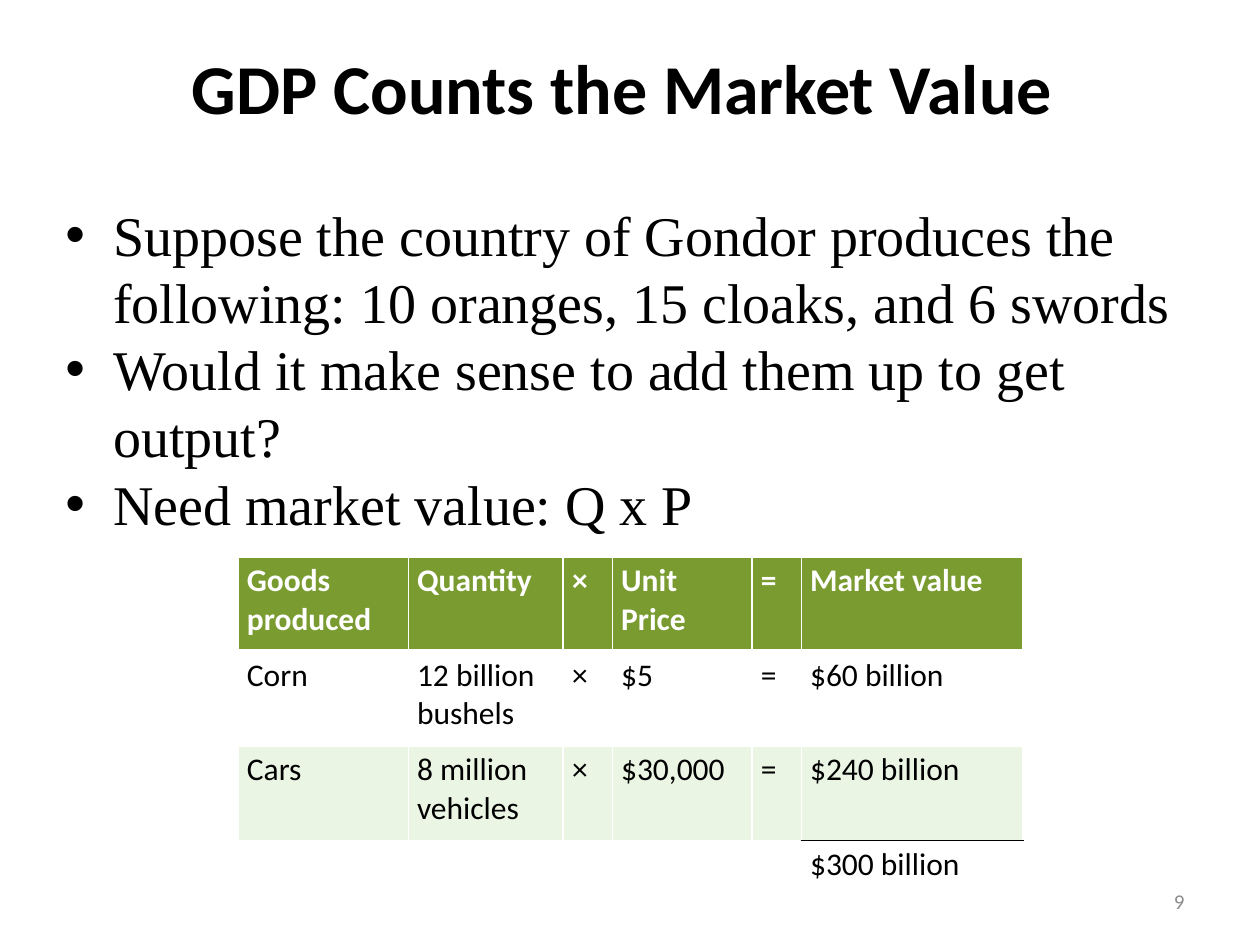
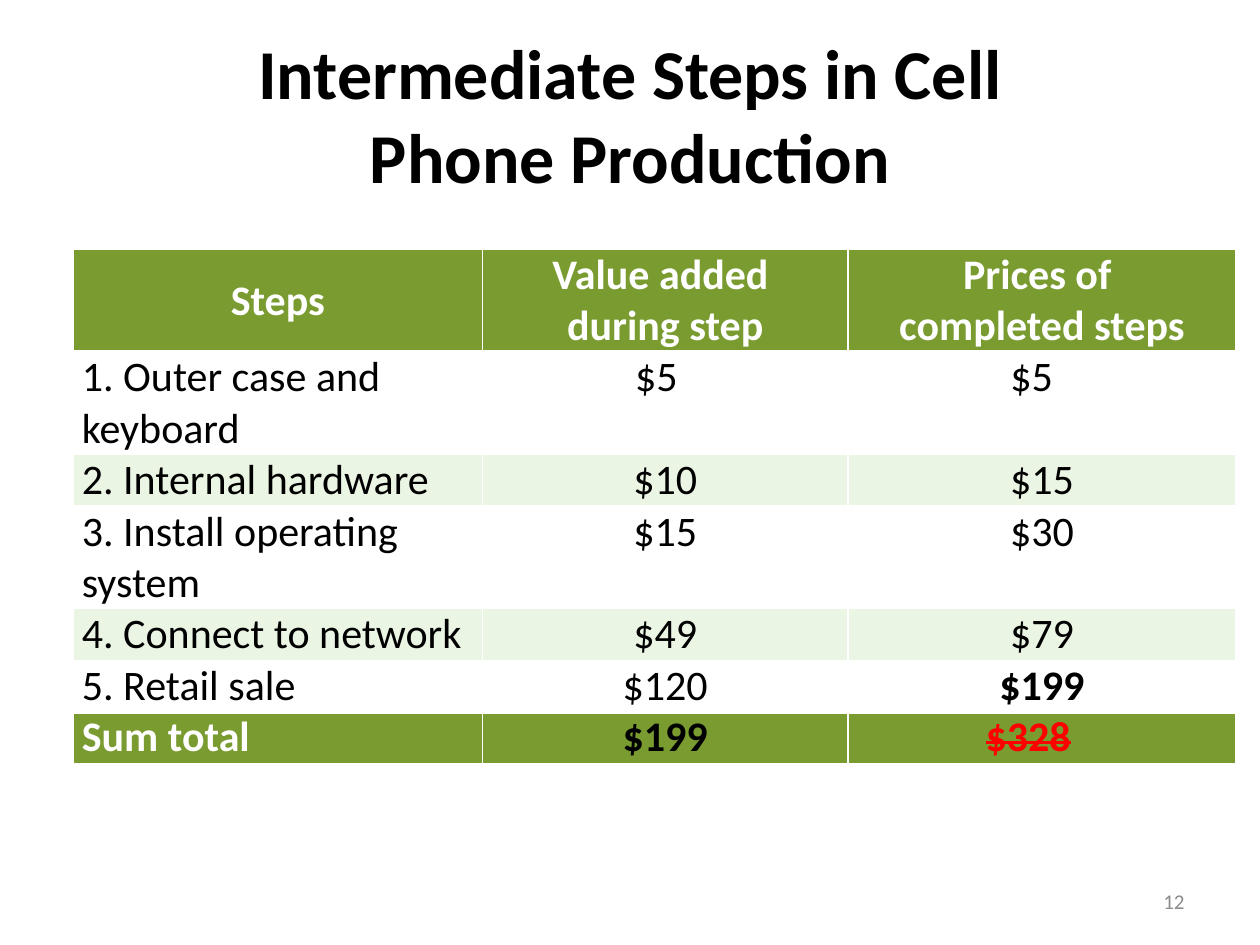
from lxml.etree import SubElement
from pptx import Presentation
from pptx.dml.color import RGBColor
from pptx.enum.text import MSO_ANCHOR, MSO_AUTO_SIZE, PP_ALIGN
from pptx.oxml import parse_xml
from pptx.oxml.ns import nsdecls, qn
from pptx.util import Inches, Pt

BLACK = RGBColor(0x00, 0x00, 0x00)
WHITE = RGBColor(0xFF, 0xFF, 0xFF)
GREEN = RGBColor(0x79, 0x9B, 0x30)
PALE = RGBColor(0xEA, 0xF5, 0xE4)
GREY = RGBColor(0x8C, 0x8C, 0x8C)
RED = RGBColor(0xFF, 0x00, 0x00)
SANS = "Calibri"
SERIF = "Times New Roman"
SIDES = ("lnL", "lnR", "lnT", "lnB")

POINTS = [
    "Suppose the country of Gondor produces the following: "
    "10 oranges, 15 cloaks, and 6 swords",
    "Would it make sense to add them up to get output?",
    "Need market value: Q x P",
]
GOODS = [
    ["Goods\nproduced", "Quantity", "×", "Unit Price", "=", "Market value"],
    ["Corn", "12 billion bushels", "×", "$5", "=", "$60 billion"],
    ["Cars", "8 million vehicles", "×", "$30,000", "=", "$240 billion"],
    ["", "", "", "", "", "$300 billion"],
]
STEPS = [
    ["Steps", "Value added \nduring step", "Prices of \ncompleted steps"],
    ["1. Outer case and keyboard", "$5", "$5"],
    ["2. Internal hardware", "$10", "$15"],
    ["3. Install operating system", "$15", "$30"],
    ["4. Connect to network", "$49", "$79"],
    ["5. Retail sale", "$120", "$199"],
    ["Sum total", "$199", "$328"],
]


def style(frame, size, color=BLACK, bold=False, align=PP_ALIGN.LEFT, face=SANS):
    """Format every run of a text frame."""
    for para in frame.paragraphs:
        para.alignment = align
        for run in para.runs:
            font = run.font
            font.name, font.size, font.bold = face, Pt(size), bold
            font.color.rgb = color


def add_title(slide, text, box):
    """Fill and place the title."""
    title = slide.shapes.title
    title.left, title.top, title.width, title.height = map(Inches, box)
    frame = title.text_frame
    frame.text = text
    frame.auto_size = MSO_AUTO_SIZE.NONE
    frame.vertical_anchor = MSO_ANCHOR.MIDDLE
    style(frame, 40, bold=True, align=PP_ALIGN.CENTER)


def add_text(slide, text, box):
    """Add a wrapping text box and return its frame."""
    frame = slide.shapes.add_textbox(*map(Inches, box)).text_frame
    frame.word_wrap = True
    frame.text = text
    return frame


def add_number(slide, number):
    """Write the slide number at the lower right."""
    frame = add_text(slide, str(number), (7.17, 6.95, 2.33, 0.4))
    frame.vertical_anchor = MSO_ANCHOR.MIDDLE
    style(frame, 12, GREY, align=PP_ALIGN.RIGHT)


def add_points(slide, points, box):
    """Add a bulleted list."""
    frame = add_text(slide, "\n".join(points), box)
    for para in frame.paragraphs:
        props = para._p.get_or_add_pPr()
        props.set("marL", str(Inches(0.38)))
        props.set("indent", str(Inches(-0.38)))
        SubElement(props, qn("a:buFont"), typeface="Arial")
        SubElement(props, qn("a:buChar"), char="•")
    style(frame, 32, face=SERIF)


def set_edge(cell, side, color=WHITE, width=1):
    """Draw one cell border, keeping the borders in schema order."""
    props = cell._tc.get_or_add_tcPr()
    old = props.find(qn(f"a:{side}"))
    if old is not None:
        props.remove(old)
    line = parse_xml(
        f'<a:{side} {nsdecls("a")} w="{Pt(width)}"><a:solidFill>'
        f'<a:srgbClr val="{color}"/></a:solidFill></a:{side}>')
    props.insert(SIDES.index(side), line)


def add_grid(slide, data, box, widths, heights, size, pad):
    """Add a table with a green head and pale bands, and return it."""
    shape = slide.shapes.add_table(len(data), len(widths), *map(Inches, box))
    table = shape.table
    table.first_row = table.horz_banding = False
    for col, width in zip(table.columns, widths):
        col.width = Inches(width)
    for r, (row, height) in enumerate(zip(data, heights)):
        table.rows[r].height = Inches(height)
        for c, text in enumerate(row):
            cell = table.cell(r, c)
            cell.text = text
            cell.margin_left = cell.margin_right = Inches(0.07)
            cell.margin_top = cell.margin_bottom = Inches(pad)
            style(cell.text_frame, size, BLACK if r else WHITE, r == 0)
            cell.fill.solid()
            cell.fill.fore_color.rgb = (WHITE if r % 2 else PALE) if r else GREEN
            for side in SIDES:
                set_edge(cell, side)
            if r == 0:
                set_edge(cell, "lnB", width=3)
    return table


def add_goods(slide, left, top):
    """Add the market value table with its ruled-off total."""
    widths = [1.35, 1.23, 0.39, 1.11, 0.39, 1.76]
    heights = [0.75] * 3 + [0.42]
    box = (left, top, sum(widths), sum(heights))
    table = add_grid(slide, GOODS, box, widths, heights, 18, 0.04)
    for c in range(6):
        table.cell(3, c).fill.fore_color.rgb = WHITE
    table.cell(3, 0).merge(table.cell(3, 4))
    set_edge(table.cell(2, 5), "lnB", BLACK)
    set_edge(table.cell(3, 5), "lnT", BLACK)


def add_steps(slide, left, top):
    """Add the value added table with its green total row."""
    widths = [3.25, 2.9, 3.08]
    tall, low = 0.81, 0.41
    heights = [tall, tall, low, tall, low, low, low]
    box = (left, top, sum(widths), sum(heights))
    table = add_grid(slide, STEPS, box, widths, heights, 24, 0)
    for r in range(len(STEPS)):
        for c in range(3):
            if c or r == 0:
                for para in table.cell(r, c).text_frame.paragraphs:
                    para.alignment = PP_ALIGN.CENTER
    for c, inset in ((1, 1.21), (2, 1.29)):
        cell = table.cell(1, c)
        cell.margin_left = Inches(inset)
        cell.text_frame.paragraphs[0].alignment = PP_ALIGN.LEFT
    table.cell(5, 2).text_frame.paragraphs[0].runs[0].font.bold = True
    for c, color in enumerate((WHITE, BLACK, RED)):
        table.cell(0, c).vertical_anchor = MSO_ANCHOR.MIDDLE
        cell = table.cell(6, c)
        cell.fill.fore_color.rgb = GREEN
        set_edge(cell, "lnT", width=3)
        font = cell.text_frame.paragraphs[0].runs[0].font
        font.bold, font.color.rgb = True, color
    wrong = table.cell(6, 2)
    wrong.margin_right = Inches(0.29)
    run = wrong.text_frame.paragraphs[0].runs[0]
    run._r.get_or_add_rPr().set("strike", "sngStrike")


def value_slide(slide):
    """Build the slide on market value."""
    add_title(slide, "GDP Counts the Market Value ", (0.5, 0.3, 9, 0.78))
    add_goods(slide, 1.89, 4.42)
    add_points(slide, POINTS, (0.42, 1.54, 9, 2.79))
    add_number(slide, 9)


def phone_slide(slide):
    """Build the slide on cell phone steps."""
    add_title(slide, "Intermediate Steps in Cell\vPhone Production",
              (0.75, 0.3, 8.5, 1.2))
    add_steps(slide, 0.58, 1.98)
    add_number(slide, 12)


def main():
    """Build and save the deck."""
    deck = Presentation()
    deck.slide_width, deck.slide_height = Inches(10), Inches(7.5)
    for build in (value_slide, phone_slide):
        build(deck.slides.add_slide(deck.slide_layouts[5]))
    deck.save("out.pptx")


if __name__ == "__main__":
    main()
